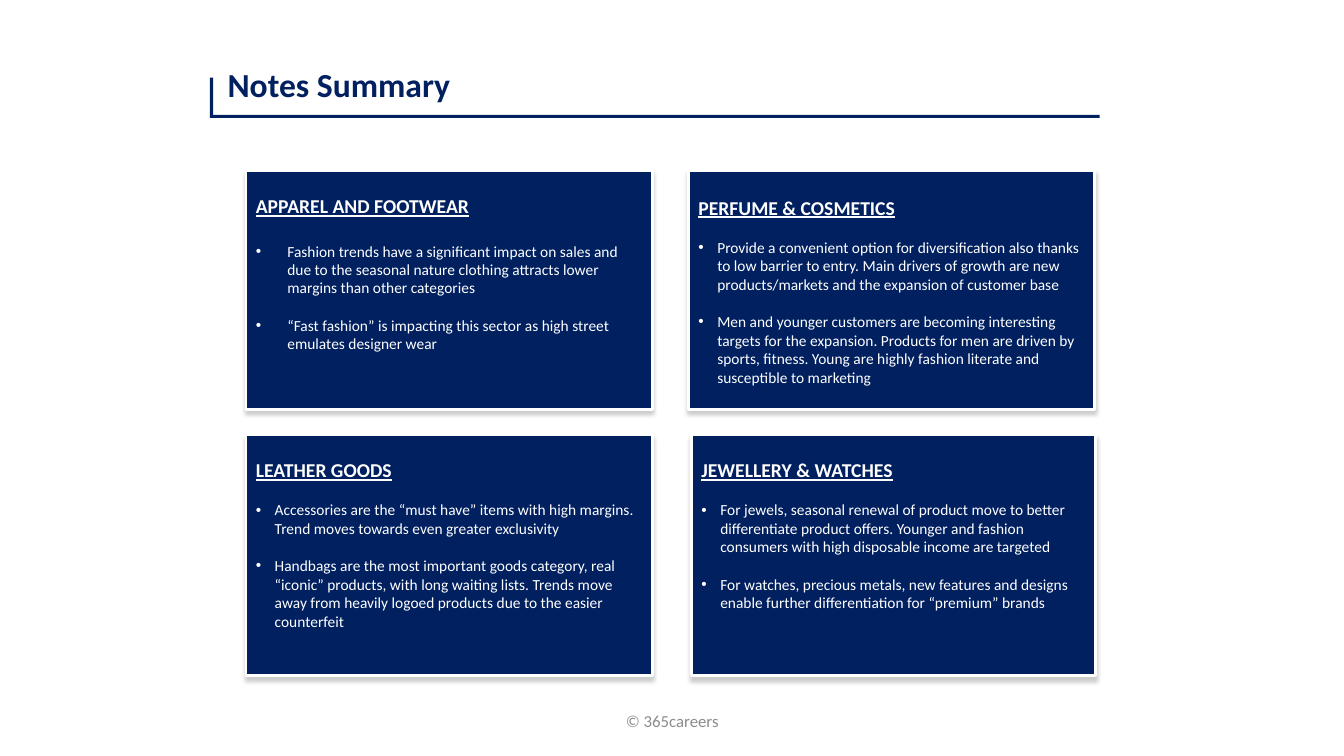
from lxml import etree
from pptx import Presentation
from pptx import util as u
from pptx.dml import color
from pptx.enum import shapes, text
from pptx.oxml import ns

Pt = u.Pt
COLORS = {"navy": "002060", "white": "FFFFFF", "grey": "8C8C8C", "shadow": "000000"}
FONT = "Calibri"

# Each card: box (left, top, width, height), top inset, bullet indent, gap, heading, bullets
CARDS = [
    ((175.7, 121.7, 290.2, 170.6), 17, 22.5, 17.1, "APPAREL AND FOOTWEAR", [
        "Fashion trends have a significant impact on sales and due to the seasonal "
        "nature clothing attracts lower margins than other categories",
        "“Fast fashion” is impacting this sector as high street emulates designer wear"]),
    ((491.8, 121.7, 290.2, 170.6), 18.1, 13.5, 13.4, "PERFUME & COSMETICS", [
        "Provide a convenient option for diversification also thanks to low barrier to "
        "entry. Main drivers of growth are new products/markets and the expansion of "
        "customer base",
        "Men and younger customers are becoming interesting targets for the expansion. "
        "Products for men are driven by sports, fitness. Young are highly fashion "
        "literate and susceptible to marketing"]),
    ((175.7, 310.3, 290.2, 172.1), 17, 13.5, 13.4, "LEATHER GOODS", [
        "Accessories are the “must have” items with high margins. Trend moves towards "
        "even greater exclusivity",
        "Handbags are the most important goods category, real “iconic” products, with "
        "long waiting lists. Trends move away from heavily logoed products due to the "
        "easier counterfeit"]),
    ((493.9, 310.3, 288.7, 172.1), 17, 13.5, 13.4, "JEWELLERY & WATCHES", [
        "For jewels, seasonal renewal of product move to better differentiate product "
        "offers. Younger and fashion consumers with high disposable income are targeted",
        "For watches, precious metals, new features and designs enable further "
        "differentiation for “premium” brands"]),
]


def rgb(name):
    return color.RGBColor.from_string(COLORS[name])


def add_rectangle(slide, box, fill):
    shape = slide.shapes.add_shape(shapes.MSO_SHAPE.RECTANGLE, *map(Pt, box))
    shape.shadow.inherit = False
    shape.fill.solid()
    shape.fill.fore_color.rgb = rgb(fill)
    shape.line.fill.background()
    return shape


def add_shadow(shape):
    effects = shape._element.spPr.find(ns.qn("a:effectLst"))
    shadow = etree.SubElement(effects, ns.qn("a:outerShdw"), blurRad=str(Pt(3)),
                              dist=str(Pt(3)), dir="5400000", rotWithShape="0")
    tint = etree.SubElement(shadow, ns.qn("a:srgbClr"), val=COLORS["shadow"])
    etree.SubElement(tint, ns.qn("a:alpha"), val="20000")


def add_bullet(paragraph, indent):
    properties = paragraph._p.get_or_add_pPr()
    properties.set("marL", str(Pt(indent)))
    properties.set("indent", str(-Pt(indent)))
    etree.SubElement(properties, ns.qn("a:buFont"), typeface="Arial")
    etree.SubElement(properties, ns.qn("a:buChar"), char="•")


def style(paragraph, size, name, bold=False, underline=False):
    for run in paragraph.runs:
        run.font.name = FONT
        run.font.size = Pt(size)
        run.font.color.rgb = rgb(name)
        run.font.bold = bold
        run.font.underline = underline


def add_text(slide, box, words, size, name, bold=False):
    text_frame = slide.shapes.add_textbox(*map(Pt, box)).text_frame
    text_frame.word_wrap = True
    text_frame.text = words
    style(text_frame.paragraphs[0], size, name, bold)
    return text_frame


def add_title(slide, box):
    left, top, width, height = box
    add_text(slide, (left + 5.5, top, 528, 36), "Notes Summary", 24, "navy", bold=True)
    # Corner rule: long base and short upright
    add_rectangle(slide, (left, top + height - 2.2, width, 2.2), "navy")
    add_rectangle(slide, (left, top + height - 28.8, 2.2, 28.8), "navy")


def add_card(slide, box, inset, indent, gap, heading, bullets):
    card = add_rectangle(slide, box, "navy")
    card.line.color.rgb = rgb("white")
    card.line.width = Pt(2)
    add_shadow(card)

    text_frame = card.text_frame
    text_frame.word_wrap = True
    text_frame.vertical_anchor = text.MSO_ANCHOR.TOP
    text_frame.margin_top = Pt(inset)
    text_frame.margin_bottom = 0
    text_frame.text = "\n".join([heading, *bullets])
    title, *items = text_frame.paragraphs
    title.alignment = text.PP_ALIGN.LEFT
    style(title, 14, "white", bold=True, underline=True)
    for index, paragraph in enumerate(items):
        paragraph.alignment = text.PP_ALIGN.LEFT
        paragraph.space_before = Pt(13.4 if index else gap)
        add_bullet(paragraph, indent)
        style(paragraph, 11, "white")


def add_footer(slide, box):
    text_frame = add_text(slide, box, "© 365careers", 12, "grey")
    text_frame.vertical_anchor = text.MSO_ANCHOR.MIDDLE
    text_frame.paragraphs[0].alignment = text.PP_ALIGN.CENTER


def main():
    presentation = Presentation()
    presentation.slide_width, presentation.slide_height = Pt(960), Pt(540)
    slide = presentation.slides.add_slide(presentation.slide_layouts[6])
    add_title(slide, (150, 41.8, 635.5, 42.4))
    add_footer(slide, (328.3, 500.4, 303.8, 28.8))
    for card in CARDS:
        add_card(slide, *card)
    presentation.save("out.pptx")


if __name__ == "__main__":
    main()
